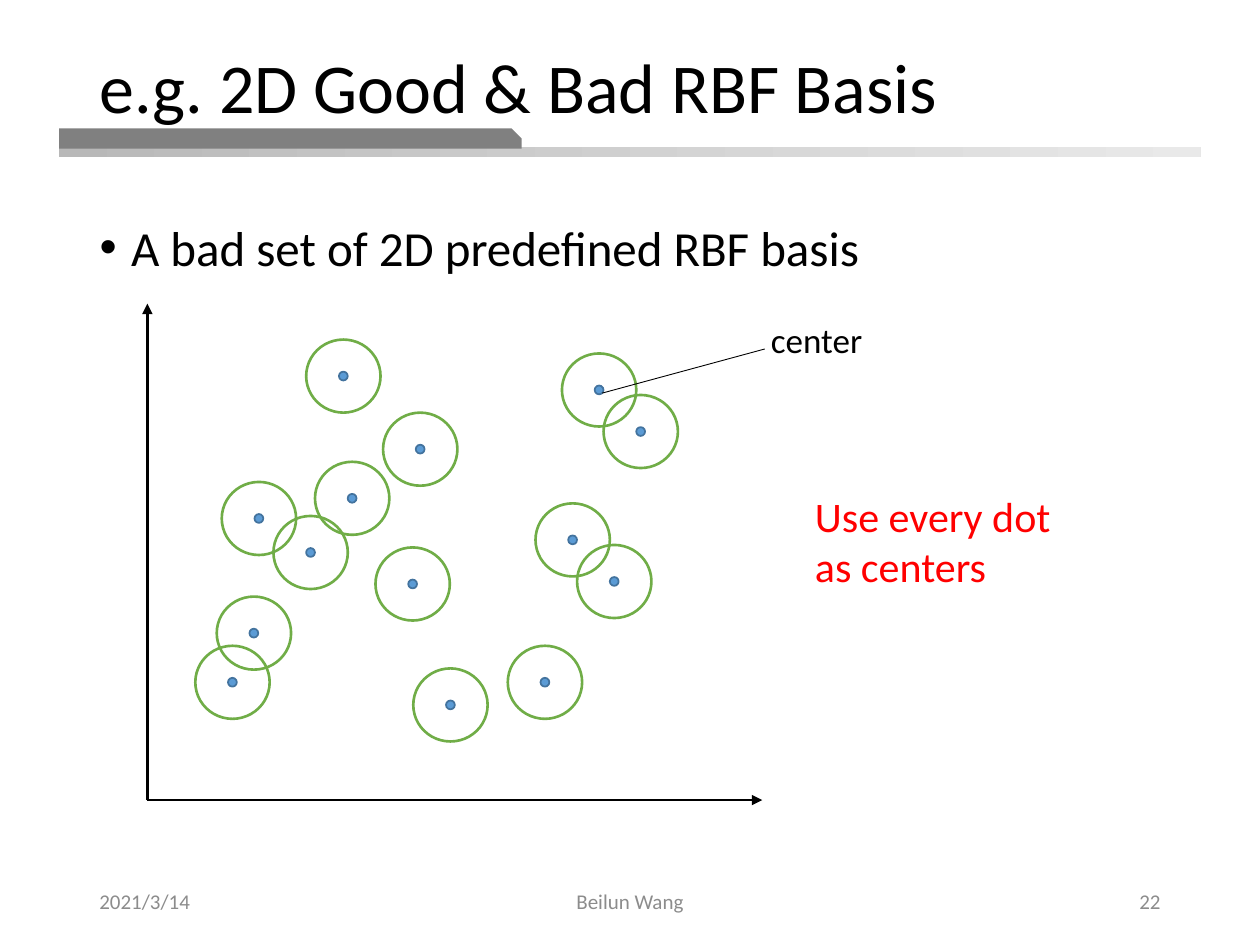
from lxml import etree
from pptx import Presentation
from pptx.dml.color import RGBColor
from pptx.enum.shapes import MSO_CONNECTOR, MSO_SHAPE
from pptx.enum.text import MSO_ANCHOR, MSO_AUTO_SIZE, PP_ALIGN
from pptx.oxml.ns import qn
from pptx.util import Inches, Pt

LINE = MSO_CONNECTOR.STRAIGHT
RECT, SNIP, OVAL = MSO_SHAPE.RECTANGLE, MSO_SHAPE.SNIP_1_RECTANGLE, MSO_SHAPE.OVAL
LEFT, MID, RIGHT = PP_ALIGN.LEFT, PP_ALIGN.CENTER, PP_ALIGN.RIGHT
TOP, MIDDLE = MSO_ANCHOR.TOP, MSO_ANCHOR.MIDDLE

# Content
TITLE = "e.g. 2D Good & Bad RBF Basis"
POINT = "A bad set of 2D predefined RBF basis"
NOTE = "Use every dot as centers"
LABEL = "center"
FOOTER = [  # text, left, width, alignment
    ("2021/3/14", 0.69, 2.25, LEFT),
    ("Beilun Wang", 3.31, 3.38, MID),
    ("22", 7.06, 2.25, RIGHT),
]
DOTS = [  # left, top of each data point
    (1.81, 5.38), (2.76, 3.92), (3.3, 3.53), (4.51, 4.25), (4.72, 3.06),
    (4.29, 5.38), (4.84, 4.58), (3.54, 5.56), (2.02, 4.08), (5.05, 3.39),
    (3.24, 4.6), (2.69, 2.95), (1.98, 4.99), (2.43, 4.35),
]
DOT, RING_W, RING_H = 0.07, 0.59, 0.58
ORIGIN, X_END, Y_END = (1.17, 6.35), (6.05, 6.35), (1.17, 2.41)

THEME = {
    "font": "Calibri",
    "size": {"title": 40, "body": 28, "note": 24, "label": 20, "foot": 12},
    "color": {
        "text": "000000", "note": "FF0000", "foot": "8C8C8C", "tab": "808080",
        "dot": "5B9BD5", "edge": "43739E", "ring": "70AD47",
        "from": "B8B8B8", "to": "E9E9E9",
    },
}


def color(key):
    return RGBColor.from_string(THEME["color"][key])


def place(shape, box):
    shape.left, shape.top, shape.width, shape.height = map(Inches, box)


def write(shape, text, size, ink="text", align=LEFT, anchor=TOP, wrap=True):
    frame = shape.text_frame
    frame.text = text
    frame.word_wrap = wrap
    frame.auto_size = MSO_AUTO_SIZE.NONE
    frame.vertical_anchor = anchor
    para = frame.paragraphs[0]
    para.alignment = align
    para.space_before = Pt(0)
    font = para.font
    font.name, font.size = THEME["font"], Pt(THEME["size"][size])
    font.color.rgb = color(ink)
    return para


def add_text(slide, box, *args, **style):
    shape = slide.shapes.add_textbox(*map(Inches, box))
    write(shape, *args, **style)


def add_form(slide, kind, box, fill=None, line=None, width=1):
    shape = slide.shapes.add_shape(kind, *map(Inches, box))
    shape.shadow.inherit = False
    if fill:
        shape.fill.solid()
        shape.fill.fore_color.rgb = color(fill)
    else:
        shape.fill.background()
    if line:
        shape.line.color.rgb = color(line)
        shape.line.width = Pt(width)
    else:
        shape.line.fill.background()
    return shape


def add_line(slide, start, end, width, arrow=False):
    line = slide.shapes.add_connector(LINE, *map(Inches, start + end))
    line.line.color.rgb = color("text")
    line.line.width = Pt(width)
    if arrow:
        tail = etree.SubElement(line.line._get_or_add_ln(), qn("a:tailEnd"))
        tail.set("type", "triangle")
    etree.SubElement(line._element.spPr, qn("a:effectLst"))


def add_bars(slide):
    bar = add_form(slide, RECT, (0.47, 1.17, 9.06, 0.08))
    bar.fill.gradient()
    bar.fill.gradient_angle = 0
    for stop, key in zip(bar.fill.gradient_stops, ("from", "to")):
        stop.color.rgb = color(key)
    tab = add_form(slide, SNIP, (0.47, 1.02, 3.67, 0.16), "tab")
    tab.adjustments[0] = 0.5
    # Keep both bars behind the title
    tree = slide.shapes._spTree
    for spot, shape in enumerate((bar, tab), 2):
        tree.insert(spot, shape._element)


def add_head(slide):
    title, body = slide.placeholders
    place(title, (0.69, 0.4, 8.38, 0.64))
    write(title, TITLE, "title", anchor=MIDDLE).line_spacing = 0.9
    place(body, (0.69, 1.77, 8.62, 4.99))
    para = write(body, POINT, "body")
    para.line_spacing = 0.8
    props = para._p.get_or_add_pPr()
    props.set("marL", str(Inches(0.25)))
    props.set("indent", str(Inches(-0.25)))


def add_plot(slide):
    for end in (X_END, Y_END):
        add_line(slide, ORIGIN, end, 1.5, arrow=True)
    for x, y in DOTS:
        add_form(slide, OVAL, (x, y, DOT, DOT), "dot", "edge")
        ring = (x - (RING_W - DOT) / 2, y - (RING_H - DOT) / 2, RING_W, RING_H)
        add_form(slide, OVAL, ring, line="ring", width=1.5)
    add_line(slide, (4.78, 3.12), (6.07, 2.77), 0.5)
    add_text(slide, (6.02, 2.48, 0.94, 0.44), LABEL, "label", wrap=False)


def main():
    deck = Presentation()
    deck.slide_width, deck.slide_height = Inches(10), Inches(7.5)
    slide = deck.slides.add_slide(deck.slide_layouts[1])
    add_head(slide)
    add_bars(slide)
    for text, left, width, align in FOOTER:
        add_text(slide, (left, 6.95, width, 0.4), text, "foot", "foot",
                 align, MIDDLE)
    add_text(slide, (6.37, 3.84, 2.36, 0.91), NOTE, "note", "note")
    add_plot(slide)
    deck.save("out.pptx")


if __name__ == "__main__":
    main()
